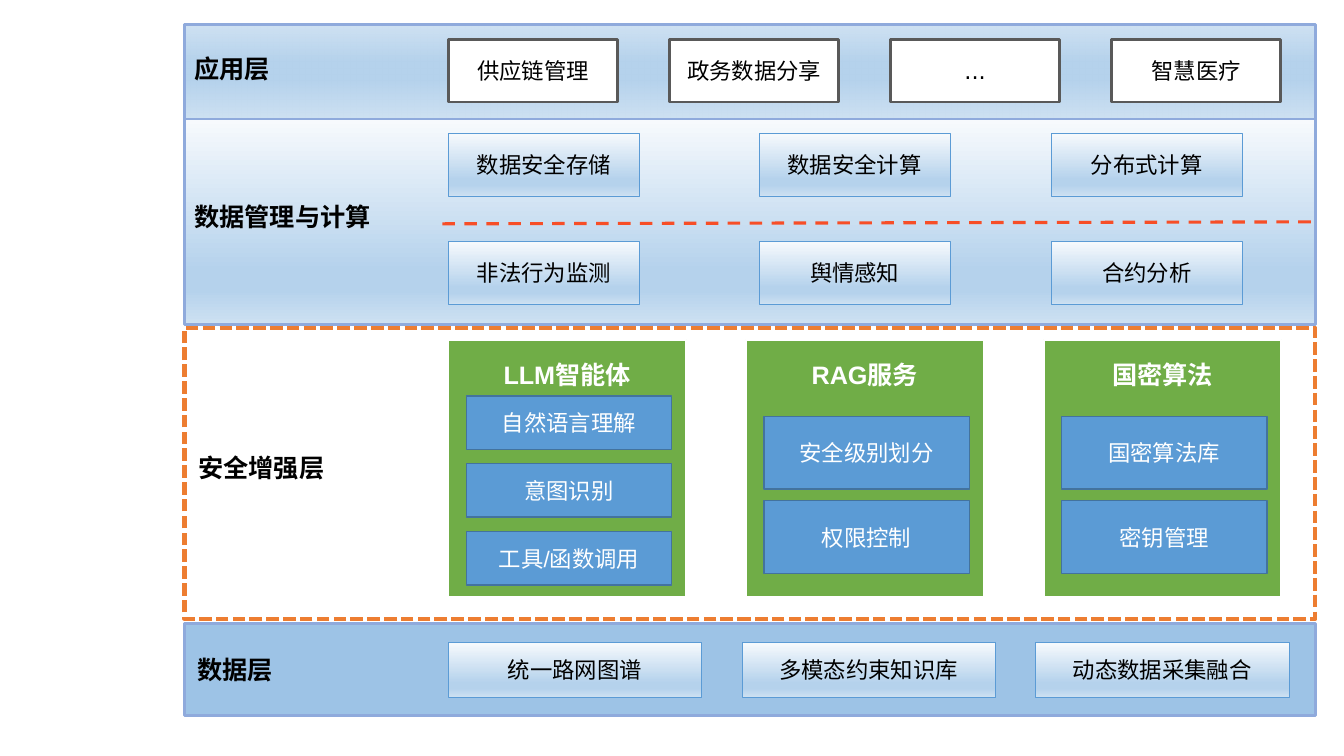
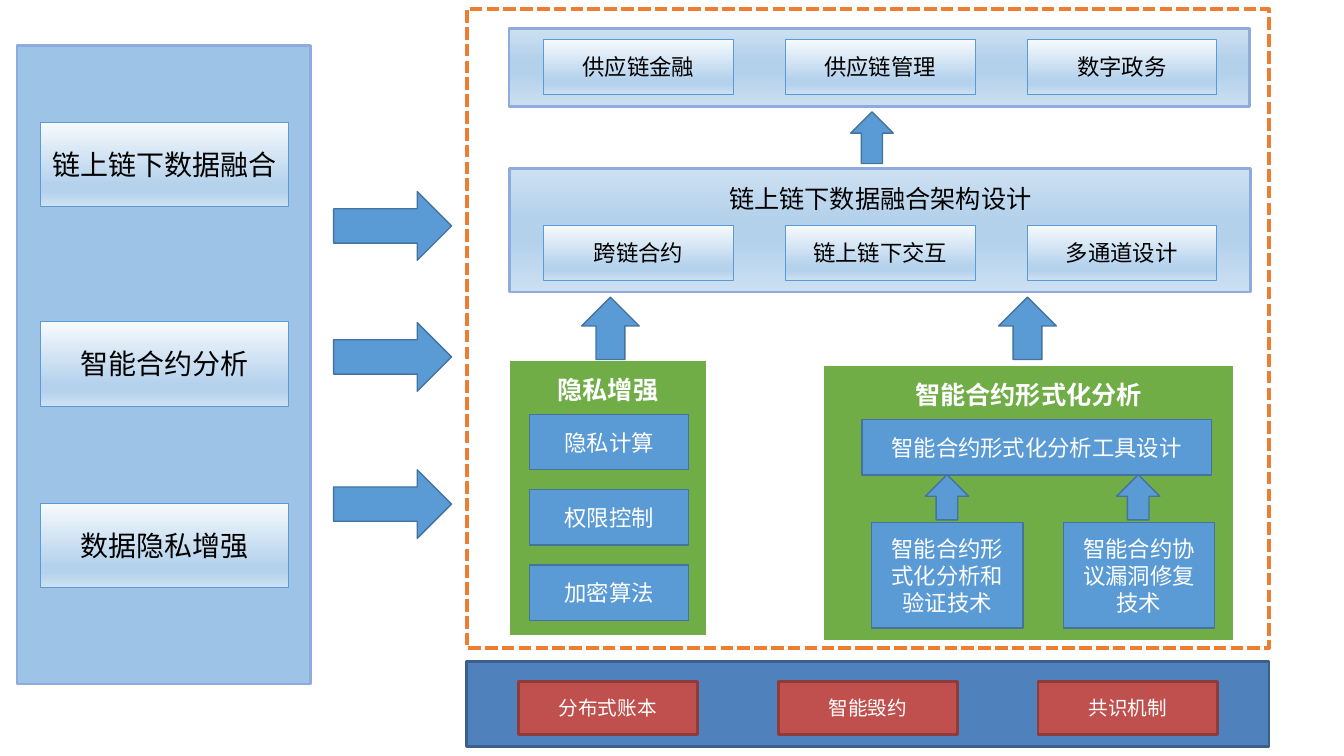
from dataclasses import dataclass
from typing import Any

from lxml.etree import SubElement
from pptx import Presentation
from pptx.dml.color import RGBColor
from pptx.enum.dml import MSO_LINE
from pptx.enum.shapes import MSO_CONNECTOR, MSO_SHAPE
from pptx.enum.text import MSO_ANCHOR, PP_ALIGN
from pptx.oxml.ns import qn
from pptx.util import Cm, Pt

BLACK = RGBColor(0x00, 0x00, 0x00)
WHITE = RGBColor(0xFF, 0xFF, 0xFF)
GRAY = RGBColor(0x59, 0x59, 0x59)
FROST = RGBColor(0xF7, 0xFA, 0xFD)
SKY = RGBColor(0xB5, 0xD2, 0xEC)
PALE = RGBColor(0xCE, 0xE1, 0xF2)
LIGHT_BLUE = RGBColor(0x9D, 0xC3, 0xE6)
PERIWINKLE = RGBColor(0x8F, 0xAA, 0xDC)
BLUE = RGBColor(0x5B, 0x9B, 0xD5)
STEEL = RGBColor(0x43, 0x73, 0x9E)
DEEP_BLUE = RGBColor(0x4F, 0x81, 0xBD)
NAVY = RGBColor(0x3A, 0x5F, 0x8C)
GREEN = RGBColor(0x70, 0xAD, 0x47)
ORANGE = RGBColor(0xED, 0x7D, 0x31)
RED_ORANGE = RGBColor(0xF7, 0x4E, 0x27)
BRICK = RGBColor(0xC0, 0x50, 0x4D)
MAROON = RGBColor(0x8E, 0x3B, 0x39)

CJK_FONT = "Noto Sans CJK SC"
LATIN_FONT = "Arial"
CARD_FONT = "DejaVu Sans"

SHEEN = ((0, FROST, 100), (74, SKY, 100), (83, SKY, 100), (100, PALE, 100))
GLOW = ((1, SKY, 65), (40, SKY, 100), (59, SKY, 100), (100, PALE, 100))


@dataclass(frozen=True)
class Style:
    fill: Any
    line: RGBColor
    width: float
    color: RGBColor = BLACK
    font: str = LATIN_FONT
    size: int = 16
    bold: bool = False
    dash: Any = None


GLOW_BAND = Style(GLOW, PERIWINKLE, 2, size=18)
SHEEN_BAND = Style(SHEEN, PERIWINKLE, 2)
FLAT_BAND = Style(LIGHT_BLUE, PERIWINKLE, 2)
FRAME = Style(None, ORANGE, 3, dash=MSO_LINE.SQUARE_DOT)
APPLICATION = Style(WHITE, GRAY, 2, font=CARD_FONT)
CARD = Style(SHEEN, BLUE, 0.25, font=CARD_FONT)
LARGE_CARD = Style(SHEEN, BLUE, 0.25, font=CARD_FONT, size=20)
PANEL = Style(GREEN, WHITE, 1.5, WHITE, size=18, bold=True)
TAG = Style(BLUE, STEEL, 1, WHITE)
LEDGER = Style(DEEP_BLUE, NAVY, 2)
LEDGER_BUTTON = Style(BRICK, MAROON, 2, WHITE, size=14)


def write_text(frame, text, *, font, size, color, bold=False, align=PP_ALIGN.LEFT):
    frame.word_wrap = True
    paragraph = frame.paragraphs[0]
    paragraph.alignment = align
    run = paragraph.add_run()
    run.text = text
    run.font.size = Pt(size)
    run.font.bold = bold
    run.font.color.rgb = color
    run.font.name = font
    SubElement(run.font._element, qn("a:ea"), typeface=CJK_FONT)


def fill_gradient(shape, stops):
    shape.fill.gradient()
    shape.fill.gradient_angle = 270
    stop_list = shape._element.spPr.find(qn("a:gradFill")).find(qn("a:gsLst"))
    stop_list.clear()
    for position, color, opacity in stops:
        stop = SubElement(stop_list, qn("a:gs"), pos=str(position * 1000))
        value = SubElement(stop, qn("a:srgbClr"), val=str(color))
        if opacity < 100:
            SubElement(value, qn("a:alpha"), val=str(opacity * 1000))


def add_block(slide, style, left, top, width, height, text="",
              kind=MSO_SHAPE.RECTANGLE, heading_inset=None):
    shape = slide.shapes.add_shape(kind, Cm(left), Cm(top), Cm(width), Cm(height))
    shape.shadow.inherit = False
    if style.fill is None:
        shape.fill.background()
    elif isinstance(style.fill, RGBColor):
        shape.fill.solid()
        shape.fill.fore_color.rgb = style.fill
    else:
        fill_gradient(shape, style.fill)
    shape.line.color.rgb = style.line
    shape.line.width = Pt(style.width)
    if style.dash is not None:
        shape.line.dash_style = style.dash
    if text:
        frame = shape.text_frame
        frame.vertical_anchor = MSO_ANCHOR.MIDDLE
        if heading_inset is not None:
            frame.vertical_anchor = MSO_ANCHOR.TOP
            frame.margin_top = Cm(heading_inset)
        write_text(frame, text, font=style.font, size=style.size, color=style.color,
                   bold=style.bold, align=PP_ALIGN.CENTER)
    return shape


def add_row(slide, style, texts, lefts, top, width, height):
    for text, left in zip(texts, lefts):
        add_block(slide, style, left, top, width, height, text)


def add_column(slide, style, texts, left, tops, width, height):
    for text, top in zip(texts, tops):
        add_block(slide, style, left, top, width, height, text)


def add_label(slide, text, left, top):
    box = slide.shapes.add_textbox(Cm(left), Cm(top), Cm(6.5), Cm(1.02))
    write_text(box.text_frame, text, font=CJK_FONT, size=18, color=BLACK, bold=True)


def add_divider(slide, left, top, band):
    connector = slide.shapes.add_connector(
        MSO_CONNECTOR.STRAIGHT, Cm(left), Cm(top), Cm(left), Cm(top))
    connector.end_connect(band, 3)
    connector.line.color.rgb = RED_ORANGE
    connector.line.width = Pt(2.25)
    connector.line.dash_style = MSO_LINE.DASH
    SubElement(connector._element.spPr, qn("a:effectLst"))


def spaced(start, step, count):
    return [start + step * index for index in range(count)]


def build_layers(slide):
    left, width, content = 4.65, 28.5, 11.3

    add_block(slide, GLOW_BAND, left, 0.61, width, 2.39)
    add_label(slide, "应用层", left, 1.22)
    add_row(slide, APPLICATION, ("供应链管理", "政务数据分享", "...", "智慧医疗"),
            spaced(content, 5.57, 4), 1, 4.27, 1.57)

    management = add_block(slide, SHEEN_BAND, left, 3, width, 5.18)
    add_label(slide, "数据管理与计算", left, 4.95)
    card_lefts = (content, 19.13, 26.49)
    add_row(slide, CARD, ("数据安全存储", "数据安全计算", "分布式计算"),
            card_lefts, 3.35, 4.82, 1.6)
    add_divider(slide, 11.15, 5.64, management)
    add_row(slide, CARD, ("非法行为监测", "舆情感知", "合约分析"),
            card_lefts, 6.07, 4.82, 1.6)

    add_block(slide, FRAME, left, 8.26, width, 7.34)
    add_label(slide, "安全增强层", 4.75, 11.28)
    panels = (
        ("LLM智能体", ("自然语言理解", "意图识别", "工具/函数调用"), (9.98, 11.68, 13.39), 1.35),
        ("RAG服务", ("安全级别划分", "权限控制"), (10.49, 12.62), 1.83),
        ("国密算法", ("国密算法库", "密钥管理"), (10.49, 12.62), 1.83),
    )
    for panel_left, (title, tags, tops, height) in zip(spaced(content, 7.5, 3), panels):
        add_block(slide, PANEL, panel_left, 8.56, 5.99, 6.48, title, heading_inset=0.5)
        add_column(slide, TAG, tags, panel_left + 0.45, tops, 5.18, height)

    add_block(slide, FLAT_BAND, left, 15.72, width, 2.31)
    add_label(slide, "数据层", 4.72, 16.36)
    add_row(slide, CARD, ("统一路网图谱", "多模态约束知识库", "动态数据采集融合"),
            spaced(content, 7.4, 3), 16.18, 6.38, 1.4)


def build_fusion(slide):
    add_block(slide, LEDGER, 11.76, 16.66, 20.22, 2.16)
    add_row(slide, LEDGER_BUTTON, ("分布式账本", "智能毁约", "共识机制"),
            spaced(13.06, 6.55, 3), 17.17, 4.52, 1.35)

    add_block(slide, FLAT_BAND, 0.43, 1.14, 7.39, 16.1)
    add_column(slide, LARGE_CARD, ("链上链下数据融合", "智能合约分析", "数据隐私增强"),
               1.02, (3.07, 8.1, 12.67), 6.25, 2.13)
    for top in (4.83, 8.13, 11.84):
        add_block(slide, TAG, 8.41, top, 2.97, 1.73, kind=MSO_SHAPE.RIGHT_ARROW)

    add_block(slide, FRAME, 11.76, 0.23, 20.22, 16.1)
    add_block(slide, PANEL, 12.83, 9.07, 4.98, 6.96, "隐私增强", heading_inset=0.37)
    add_column(slide, TAG, ("隐私计算", "权限控制", "加密算法"),
               13.35, spaced(10.44, 1.9, 3), 4.01, 1.4)

    add_block(slide, PANEL, 20.75, 9.19, 10.34, 6.96, "智能合约形式化分析",
              heading_inset=0.37)
    add_block(slide, TAG, 21.72, 10.57, 8.81, 1.4, "智能合约形式化分析工具设计")
    add_row(slide, TAG, ("智能合约形式化分析和验证技术", "智能合约协议漏洞修复技术"),
            (21.97, 26.8), 13.16, 3.81, 2.67)

    add_block(slide, GLOW_BAND, 12.85, 4.24, 18.67, 3.12, "链上链下数据融合架构设计",
              heading_inset=0.37)
    add_block(slide, GLOW_BAND, 12.83, 0.71, 18.67, 1.98)
    card_lefts = spaced(13.7, 6.09, 3)
    add_row(slide, CARD, ("跨链合约", "链上链下交互", "多通道设计"),
            card_lefts, 5.67, 4.78, 1.4)
    add_row(slide, CARD, ("供应链金融", "供应链管理", "数字政务"),
            card_lefts, 0.98, 4.78, 1.4)

    up_arrows = (
        (23.32, 11.96, 1.09, 1.14),
        (28.14, 11.96, 1.09, 1.14),
        (14.66, 7.49, 1.45, 1.57),
        (25.17, 7.49, 1.45, 1.57),
        (21.44, 2.82, 1.07, 1.3),
    )
    for bounds in up_arrows:
        add_block(slide, TAG, *bounds, kind=MSO_SHAPE.UP_ARROW)


def main():
    presentation = Presentation()
    presentation.slide_width = Cm(33.87)
    presentation.slide_height = Cm(19.05)
    for build in (build_layers, build_fusion):
        build(presentation.slides.add_slide(presentation.slide_layouts[6]))
    presentation.save("out.pptx")


if __name__ == "__main__":
    main()
